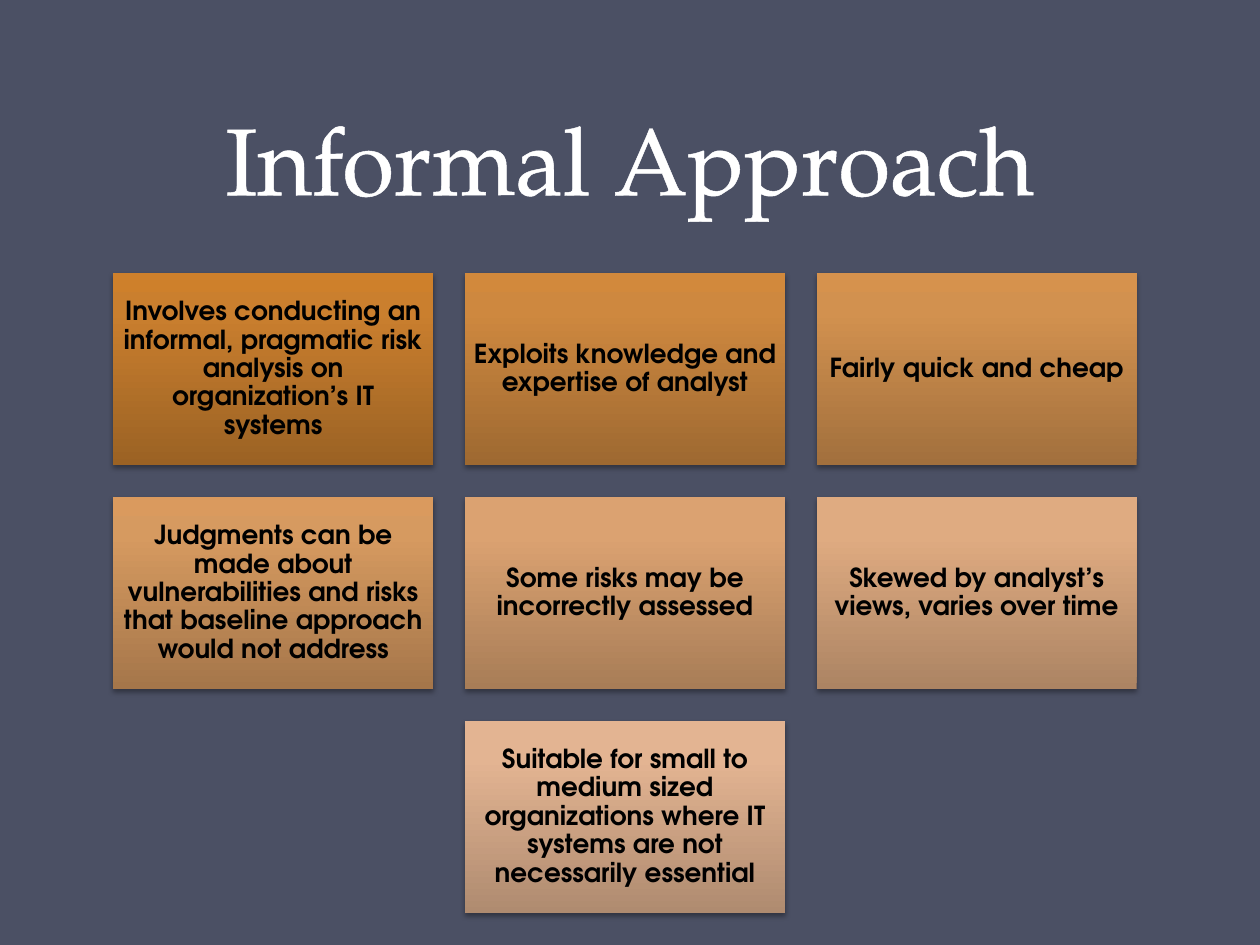
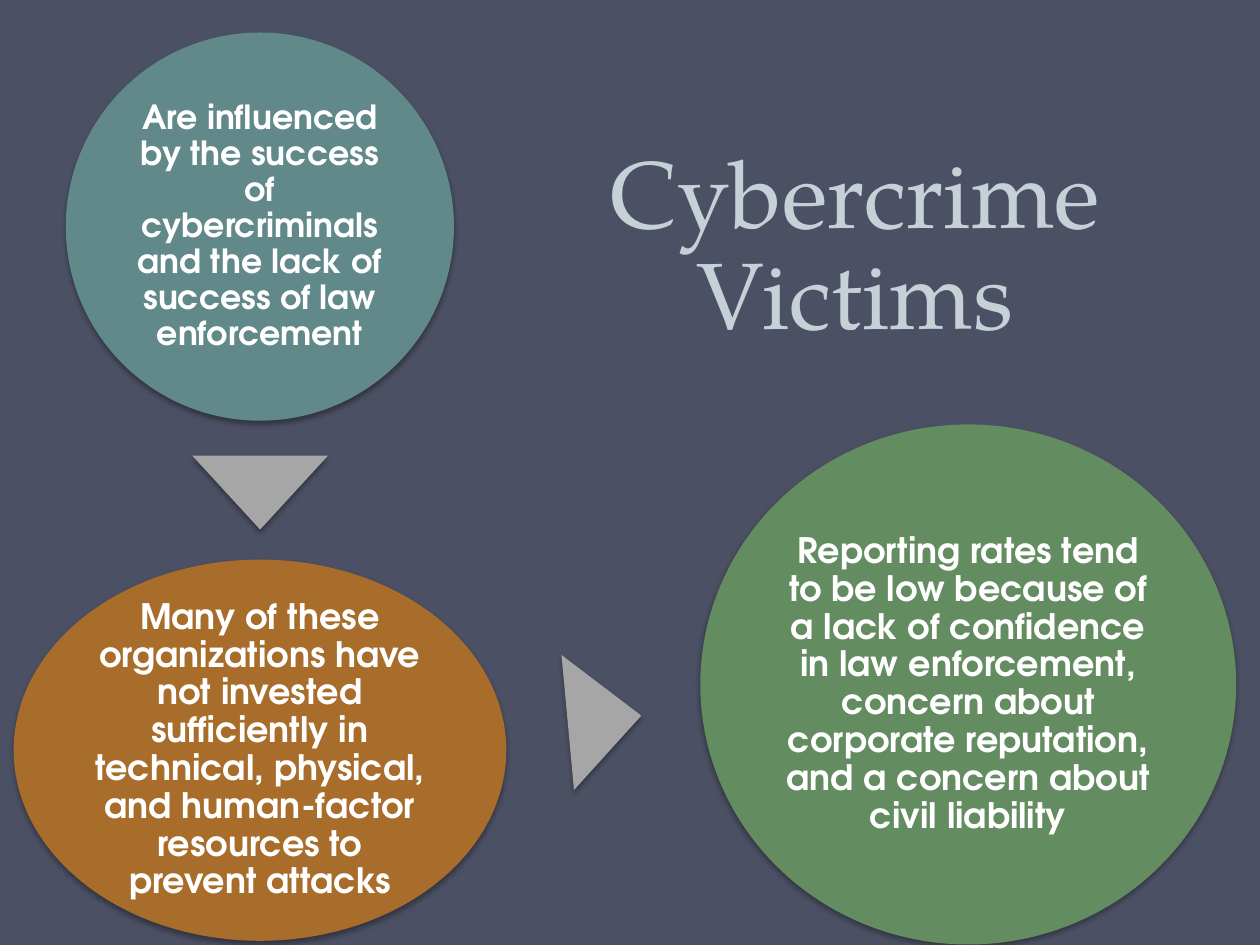
"""Build two slides on informal risk analysis and cybercrime victims."""
from dataclasses import dataclass

from lxml.etree import SubElement
from pptx import Presentation
from pptx.dml.color import RGBColor
from pptx.enum.shapes import MSO_SHAPE
from pptx.enum.text import MSO_ANCHOR, MSO_AUTO_SIZE, PP_ALIGN
from pptx.oxml import parse_xml
from pptx.oxml.ns import nsdecls, qn
from pptx.util import Pt


@dataclass(frozen=True)
class Theme:
    """Colours, fonts and type sizes of the deck."""
    background: str = "4B5064"
    white: str = "FFFFFF"
    black: str = "000000"
    pale: str = "C5D1D7"
    teal: str = "61898A"
    brown: str = "A96D2B"
    green: str = "648C61"
    grey: str = "A6A6A6"
    first_card: tuple = ("9B6224", "CA7F2E", "CE802B")
    last_card: tuple = ("AF8B70", "E3B492", "E5B591")
    card_stops: tuple = (0, 80, 100)
    title_font: str = "TeX Gyre Pagella"
    body_font: str = "TeX Gyre Adventor"
    title_size: int = 54
    title_spacing: int = 58
    card_size: int = 15
    small_circle_size: int = 19
    circle_size: int = 20


def blend(start, end, share):
    """Return the colour that lies the given share of the way from start to end."""
    pairs = zip(RGBColor.from_string(start), RGBColor.from_string(end))
    return str(RGBColor(*(round(a + (b - a) * share) for a, b in pairs)))


def write(frame, text, *, font, size, color, bold=False, spacing=0.9,
          anchor=MSO_ANCHOR.MIDDLE, inset=None, outline=None):
    """Put one centred paragraph of formatted text in a text frame."""
    frame.word_wrap = True
    frame.auto_size = MSO_AUTO_SIZE.NONE
    frame.vertical_anchor = anchor
    if inset is not None:
        frame.margin_left = frame.margin_right = Pt(inset)
        frame.margin_top = frame.margin_bottom = Pt(inset)
    para = frame.paragraphs[0]
    para.alignment = PP_ALIGN.CENTER
    para.line_spacing = spacing
    span = para.add_run()
    span.text = text
    span.font.name = font
    span.font.size = Pt(size)
    span.font.bold = bold
    span.font.color.rgb = RGBColor.from_string(color)
    if outline:
        span.font._element.insert(0, parse_xml(
            f'<a:ln {nsdecls("a")} w="{Pt(1.45)}"><a:solidFill>'
            f'<a:srgbClr val="{outline}"/></a:solidFill></a:ln>'))


class SlideBuilder:
    """Holds the theme and the current slide, and draws its elements."""

    def __init__(self, deck, theme):
        """Set the slide size and the shared background."""
        self.deck, self.theme, self.page = deck, theme, None
        deck.slide_width, deck.slide_height = Pt(720), Pt(540)
        fill = deck.slide_master.background.fill
        fill.solid()
        fill.fore_color.rgb = RGBColor.from_string(theme.background)

    def title_page(self, text, place, color, outline=None):
        """Start a slide and place its title."""
        self.page = self.deck.slides.add_slide(self.deck.slide_layouts[5])
        title = self.page.shapes.title
        title.left, title.top, title.width, title.height = map(Pt, place)
        write(title.text_frame, text, font=self.theme.title_font,
              size=self.theme.title_size, color=color, outline=outline,
              spacing=Pt(self.theme.title_spacing), anchor=MSO_ANCHOR.BOTTOM)

    def shape(self, kind, place, color, rotation=0):
        """Add a filled shape with no line and a soft shadow below it."""
        box = self.page.shapes.add_shape(kind, *map(Pt, place))
        box.rotation = rotation
        box.fill.solid()
        box.fill.fore_color.rgb = RGBColor.from_string(color)
        box.line.fill.background()
        box.shadow.inherit = False
        effects = box._element.spPr.find(qn("a:effectLst"))
        shadow = SubElement(effects, qn("a:outerShdw"), blurRad=str(Pt(3.1)),
                            dist=str(Pt(1.8)), dir="5400000", rotWithShape="0")
        tint = SubElement(shadow, qn("a:srgbClr"), val=self.theme.black)
        SubElement(tint, qn("a:alpha"), val="35000")
        return box

    def card(self, text, place, colors):
        """Add a rectangle with a vertical gradient and black text."""
        box = self.shape(MSO_SHAPE.RECTANGLE, place, colors[0])
        stops = "".join(
            f'<a:gs pos="{stop * 1000}"><a:srgbClr val="{color}"/></a:gs>'
            for stop, color in zip(self.theme.card_stops, colors))
        properties = box._element.spPr
        properties.replace(properties.find(qn("a:solidFill")), parse_xml(
            f'<a:gradFill {nsdecls("a")} rotWithShape="1"><a:gsLst>{stops}</a:gsLst>'
            '<a:lin ang="16200000" scaled="0"/></a:gradFill>'))
        write(box.text_frame, text, font=self.theme.body_font, bold=True,
              size=self.theme.card_size, color=self.theme.black, inset=4.3)

    def circle(self, text, place, color, size):
        """Add an ellipse with white text."""
        box = self.shape(MSO_SHAPE.OVAL, place, color)
        write(box.text_frame, text, font=self.theme.body_font, bold=True,
              size=size, color=self.theme.white, inset=2.2)

    def pointer(self, left, top, rotation):
        """Add a grey triangle that points to the next step."""
        self.shape(MSO_SHAPE.ISOSCELES_TRIANGLE, (left, top, 77.5, 42.2),
                   self.theme.grey, rotation)


def informal_approach(builder):
    """Draw the grid of cards, with a short last row centred."""
    theme = builder.theme
    builder.title_page("Informal Approach", (36, 0, 648, 126), theme.white,
                       outline=theme.white)
    cards = [
        "Involves conducting an informal, pragmatic risk analysis on organization’s IT systems",
        "Exploits knowledge and expertise of analyst",
        "Fairly quick and cheap",
        "Judgments can be made about vulnerabilities and risks that baseline approach "
        "would not address",
        "Some risks may be incorrectly assessed",
        "Skewed by analyst’s views, varies over time",
        "Suitable for small to medium sized organizations where IT systems are not "
        "necessarily essential",
    ]
    columns, width, height, gap = 3, 182.8, 109.7, 18.2
    for index, text in enumerate(cards):
        row, column = divmod(index, columns)
        row_length = min(columns, len(cards) - row * columns)
        column += (columns - row_length) / 2
        share = index / (len(cards) - 1)
        colors = [blend(first, last, share)
                  for first, last in zip(theme.first_card, theme.last_card)]
        place = (64.7 + column * (width + gap), 156.1 + row * (height + gap), width, height)
        builder.card(text, place, colors)


def cybercrime_victims(builder):
    """Draw the three linked circles."""
    theme = builder.theme
    builder.title_page("Cybercrime Victims", (269.3, 77, 438.5, 126), theme.pale)
    builder.circle("Are influenced by the success of cybercriminals and the lack of "
                   "success of law enforcement",
                   (37.6, 18.6, 221.8, 221.8), theme.teal, theme.small_circle_size)
    builder.pointer(109.9, 260.4, 180)
    builder.circle("Many of these organizations have not invested sufficiently in "
                   "technical, physical, and human-factor resources to prevent attacks",
                   (7.8, 319.8, 281.5, 217.8), theme.brown, theme.circle_size)
    builder.pointer(306.7, 389.8, 84.7)
    builder.circle("Reporting rates tend to be low because of a lack of confidence in law "
                   "enforcement, concern about corporate reputation, and a concern about "
                   "civil liability",
                   (400.2, 242.5, 306.2, 297.2), theme.green, theme.circle_size)


def main():
    """Build and save the deck."""
    deck = Presentation()
    builder = SlideBuilder(deck, Theme())
    informal_approach(builder)
    cybercrime_victims(builder)
    deck.save("out.pptx")


if __name__ == "__main__":
    main()
